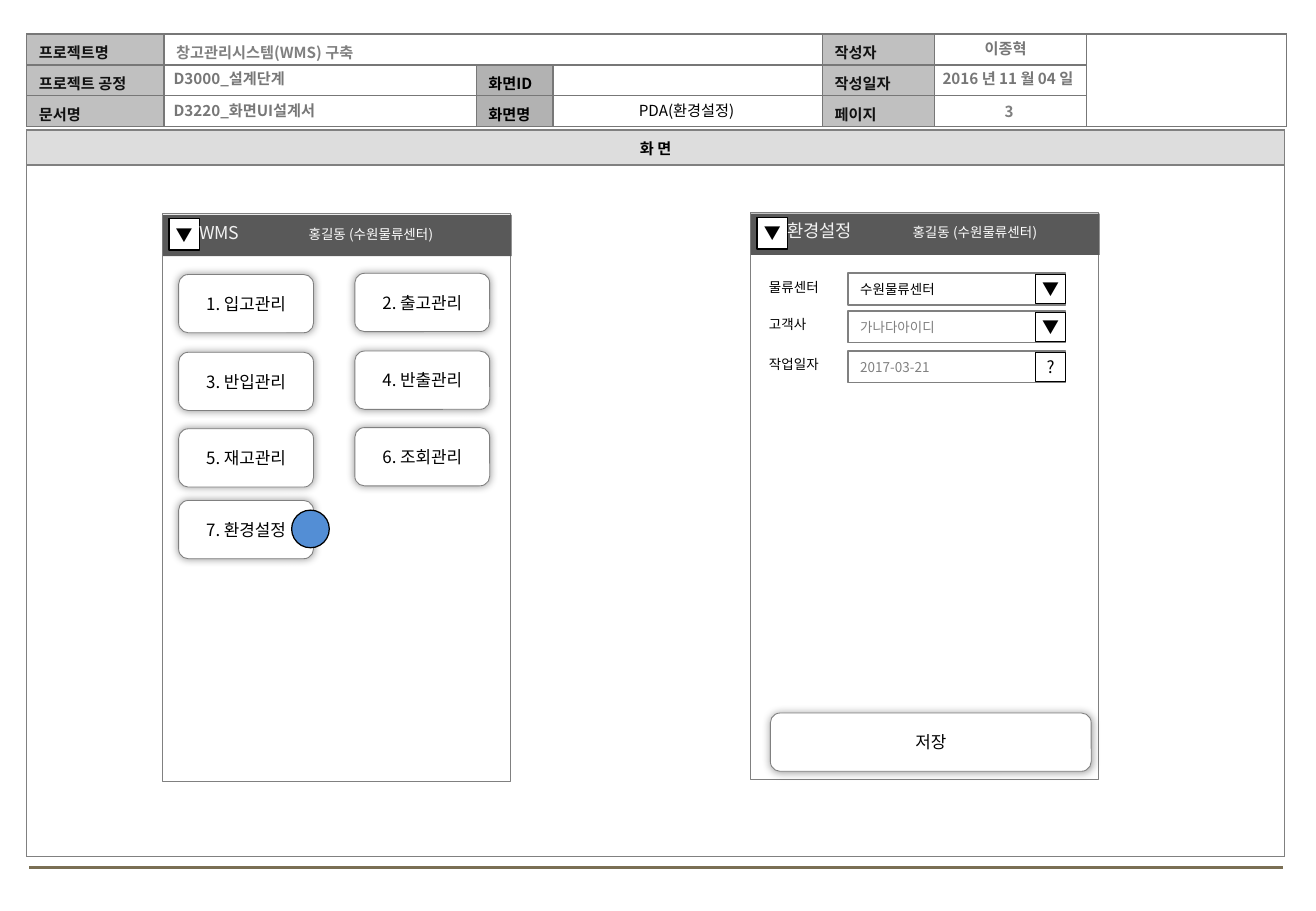
from dataclasses import dataclass

from lxml.etree import SubElement
from pptx import Presentation
from pptx.dml.color import RGBColor
from pptx.enum.shapes import MSO_CONNECTOR, MSO_SHAPE
from pptx.enum.text import MSO_ANCHOR, PP_ALIGN
from pptx.oxml.ns import qn
from pptx.util import Inches, Pt

LEFT, MID = PP_ALIGN.LEFT, PP_ALIGN.CENTER
MIDDLE = MSO_ANCHOR.MIDDLE
RECT, ROUND = MSO_SHAPE.RECTANGLE, MSO_SHAPE.ROUNDED_RECTANGLE
PROCESS, OVAL = MSO_SHAPE.FLOWCHART_PROCESS, MSO_SHAPE.OVAL
STRAIGHT = MSO_CONNECTOR.STRAIGHT


@dataclass(frozen=True)
class Theme:
    font: str = "Noto Sans CJK KR"
    black: str = "000000"
    white: str = "FFFFFF"
    ink: str = "111111"
    gray: str = "808080"
    dim: str = "777777"
    page: str = "7F7F7F"
    label: str = "C0C0C0"
    deep: str = "B2B2B2"
    band: str = "DDDDDD"
    bar: str = "595959"
    pale: str = "F2F2F2"
    blue: str = "538ED5"
    foot: str = "7A6F54"
    small: float = 8
    base: float = 9
    large: float = 10
    head: float = 10.5


THEME = Theme()


@dataclass(frozen=True)
class Area:
    """Place on a grid with ten columns and ten rows to the inch."""
    col: float
    row: float
    wide: float
    high: float


@dataclass(frozen=True)
class Type:
    size: float = THEME.base
    color: str = THEME.black
    bold: bool = False
    align: PP_ALIGN = LEFT


@dataclass(frozen=True)
class Note:
    text: str
    area: Area
    type: Type


@dataclass(frozen=True)
class Cell:
    row: int
    col: int
    text: str
    fill: str | None
    color: str


@dataclass(frozen=True)
class Panel:
    col: float
    row: float
    title: str
    tab: float


@dataclass(frozen=True)
class Field:
    label: str
    value: str
    sign: str
    row: float
    color: str


def grid(cells: float) -> int:
    return Inches(cells / 10)


def place(area: Area) -> tuple[int, int, int, int]:
    return grid(area.col), grid(area.row), grid(area.wide), grid(area.high)


def style(run, kind: Type) -> None:
    font = run.font
    font.name, font.size, font.bold = THEME.font, Pt(kind.size), kind.bold
    font.color.rgb = RGBColor.from_string(kind.color)
    SubElement(run._r.rPr, qn("a:ea"), typeface=THEME.font)


def write(frame, text: str, kind: Type) -> None:
    frame.text = text
    frame.word_wrap = True
    frame.vertical_anchor = MIDDLE
    para = frame.paragraphs[0]
    para.alignment = kind.align
    for run in para.runs:
        style(run, kind)


def note(slide, item: Note):
    box = slide.shapes.add_textbox(*place(item.area))
    write(box.text_frame, item.text, item.type)
    return box


def shape(slide, form: MSO_SHAPE, area: Area, fill: str | None = THEME.white,
          line: str | None = THEME.gray, width: float = 0.5):
    item = slide.shapes.add_shape(form, *place(area))
    item.shadow.inherit = False
    if fill:
        item.fill.solid()
        item.fill.fore_color.rgb = RGBColor.from_string(fill)
    else:
        item.fill.background()
    if line:
        item.line.color.rgb = RGBColor.from_string(line)
        item.line.width = Pt(width)
    else:
        item.line.fill.background()
    return item


def button(slide, text: str, area: Area) -> None:
    item = shape(slide, ROUND, area)
    write(item.text_frame, text, Type(THEME.large, align=MID))
    glow = SubElement(item._element.spPr.find(qn("a:effectLst")), qn("a:outerShdw"),
                      blurRad=str(Pt(5)), dist="0", algn="ctr", rotWithShape="0")
    tint = SubElement(glow, qn("a:srgbClr"), val=THEME.black)
    SubElement(tint, qn("a:alpha"), val="40000")


def key(slide, sign: str, area: Area) -> None:
    item = shape(slide, RECT, area, line=THEME.black, width=0.75)
    frame = item.text_frame
    write(frame, sign, Type(THEME.large, align=MID))
    frame.word_wrap = False
    frame.margin_left = frame.margin_right = grid(0.2)
    frame.margin_top = frame.margin_bottom = grid(0.4)


def table(slide, area: Area, cols: list[float], rows: list[float], edge: str):
    item = slide.shapes.add_table(len(rows), len(cols), *place(area)).table
    item.first_row = item.horz_banding = False
    for col, wide in zip(item.columns, cols):
        col.width = grid(wide)
    for row, high in zip(item.rows, rows):
        row.height = grid(high)
    for cell in item.iter_cells():
        cell.fill.background()
        cell.vertical_anchor = MIDDLE
        cell.margin_top, cell.margin_bottom = grid(0.4), 0
        SubElement(cell.text_frame.paragraphs[0]._p, qn("a:endParaRPr"), sz="900")
        props = cell._tc.get_or_add_tcPr()
        for spot, side in enumerate(("lnL", "lnR", "lnT", "lnB")):
            line = SubElement(props, qn(f"a:{side}"), w=str(Pt(1)))
            SubElement(SubElement(line, qn("a:solidFill")), qn("a:srgbClr"), val=edge)
            props.insert(spot, line)
    return item


def enter(grid_table, item: Cell, align: PP_ALIGN = LEFT) -> None:
    cell = grid_table.cell(item.row, item.col)
    write(cell.text_frame, item.text, Type(color=item.color, bold=True, align=align))
    if item.fill:
        cell.fill.solid()
        cell.fill.fore_color.rgb = RGBColor.from_string(item.fill)


def screen(slide, item: Panel) -> None:
    col, row = item.col, item.row
    shape(slide, PROCESS, Area(col, row, 28.6, 46.7))
    shape(slide, RECT, Area(col, row + 0.1, 28.7, 3.4), THEME.bar, None)
    key(slide, "▼", Area(col + 0.5, row + 0.4, 2.5, 2.6))
    box = note(slide, Note(item.title, Area(col + 0.2, row + 0.1, 28.5, 2.8),
                           Type(THEME.head, THEME.pale)))
    box.text_frame.margin_left = grid(2.8)
    para = box.text_frame.paragraphs[0]
    tabs = SubElement(para._p.get_or_add_pPr(), qn("a:tabLst"))
    SubElement(tabs, qn("a:tab"), pos=str(grid(item.tab)), algn="l")
    user = para.add_run()
    user.text = "\t홍길동 (수원물류센터)"
    style(user, Type(THEME.small, THEME.white))


LABELS = [Cell(row, col, text, fill, color)
          for col, fill, color, texts in (
              (0, THEME.label, THEME.ink, ("프로젝트명", "프로젝트 공정", "문서명")),
              (1, None, THEME.gray, ("창고관리시스템(WMS) 구축",)),
              (2, THEME.deep, THEME.black, (None, "화면ID", "화면명")),
              (4, THEME.label, THEME.ink, ("작성자", "작성일자", "페이지")))
          for row, text in enumerate(texts) if text]
BOLD = Type(color=THEME.dim, bold=True)
DATED = Type(color=THEME.dim, bold=True, align=MID)
NOTES = [
    Note("D3000_설계단계", Area(13.3, 5.2, 54.2, 2.5), BOLD),
    Note("D3220_화면UI설계서", Area(13.3, 7.8, 54.2, 2.5), BOLD),
    Note("3", Area(76.8, 7.9, 12.5, 2.5), Type(color=THEME.page, bold=True, align=MID)),
    Note("PDA(환경설정)", Area(45.6, 7.8, 21.8, 2.5), Type(align=MID)),
    Note("2016 년 11 월 04 일", Area(75.1, 5.2, 15.7, 2.5), DATED),
    Note("이종혁", Area(74.9, 2.7, 15.7, 2.5), DATED),
]
MENU = ["입고관리", "출고관리", "반입관리", "반출관리", "재고관리", "조회관리", "환경설정"]
ROWS = [22.6, 29, 35.3, 41.2]
HOME = Panel(13.4, 17.6, "WMS", 9)
SETUP = Panel(61.8, 17.5, "환경설정", 10.3)
FIELDS = [
    Field("물류센터", "수원물류센터", "▼", 22.5, THEME.black),
    Field("고객사", "가나다아이디", "▼", 25.6, THEME.gray),
    Field("작업일자", "2017-03-21", "?", 28.9, THEME.gray),
]


def main() -> None:
    deck = Presentation()
    deck.slide_width, deck.slide_height = Inches(10.83), Inches(7.5)
    slide = deck.slides.add_slide(deck.slide_layouts[6])

    # Footer rule
    rule = slide.shapes.add_connector(STRAIGHT, grid(2.4), grid(71.4), grid(105.6), grid(71.4))
    rule.line.color.rgb = RGBColor.from_string(THEME.foot)
    rule.line.width = Pt(1.75)
    SubElement(rule._element.spPr, qn("a:effectLst"))

    # Document header
    head = table(slide, Area(2.2, 2.8, 103.7, 7.6),
                 [11.3, 25.7, 6.3, 22.2, 9.2, 12.5, 16.5], [2.54] * 3, THEME.dim)
    head.cell(0, 1).merge(head.cell(0, 3))
    head.cell(0, 6).merge(head.cell(2, 6))
    for item in LABELS:
        enter(head, item)

    # Screen frame
    body = table(slide, Area(2.2, 10.7, 103.5, 59.8), [103.5], [2.9, 56.9], THEME.gray)
    enter(body, Cell(0, 0, "화 면", THEME.band, THEME.black), MID)
    body.cell(0, 0).margin_top = 0
    for item in NOTES:
        note(slide, item)

    # Home screen with its menu
    screen(slide, HOME)
    for rank, name in enumerate(MENU):
        row, side = divmod(rank, 2)
        button(slide, f"{rank + 1}. {name}",
               Area(14.7 + 14.5 * side, ROWS[row] - 0.1 * side, 11.1, 4.8))
    shape(slide, OVAL, Area(24, 42, 3.1, 3.1), THEME.blue, THEME.black, 0.75)

    # Settings screen with its fields
    screen(slide, SETUP)
    for item in FIELDS:
        box = shape(slide, RECT, Area(69.8, item.row, 17.9, 2.6), None, width=1)
        write(box.text_frame, item.value, Type(THEME.small, item.color))
        note(slide, Note(item.label, Area(62.3, item.row - 0.1, 7, 2.4), Type(THEME.small)))
        key(slide, item.sign, Area(85.2, item.row + 0.1, 2.5, 2.4))
    button(slide, "저장", Area(63.4, 58.7, 26.4, 4.8))

    deck.save("out.pptx")


if __name__ == "__main__":
    main()
